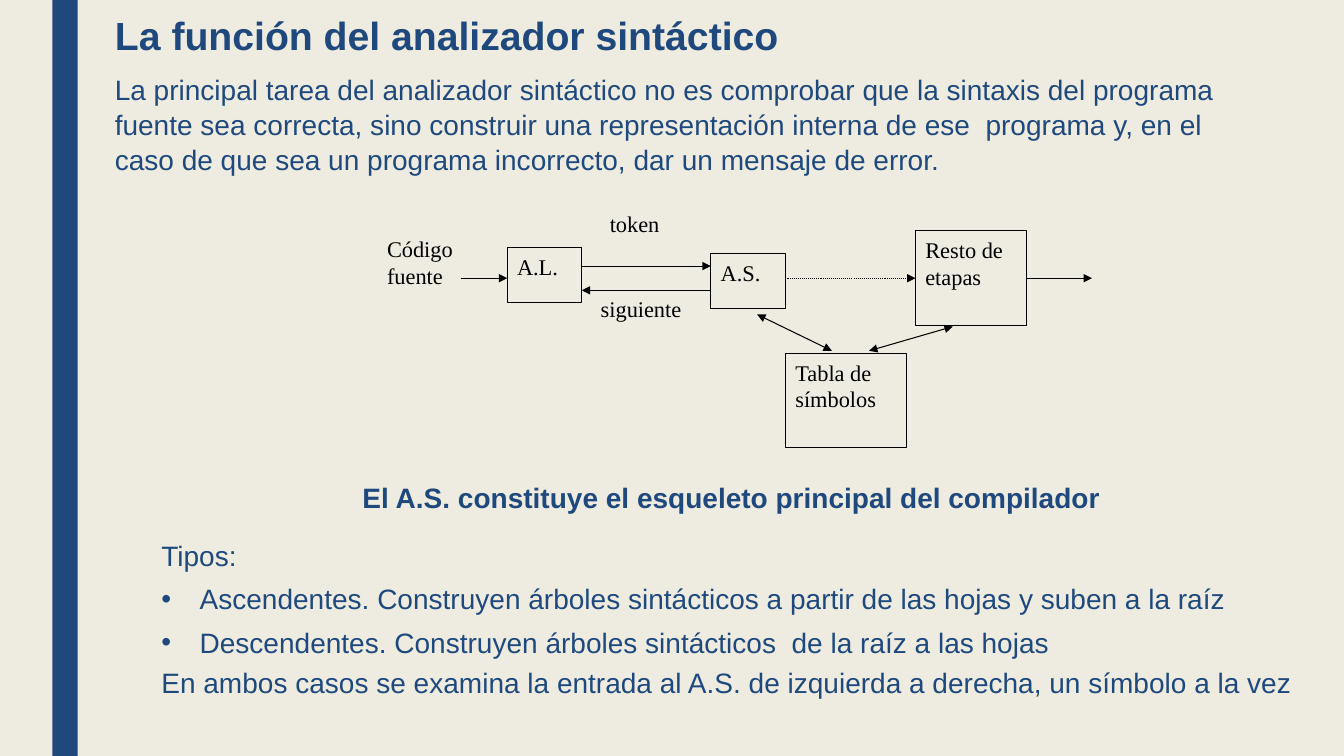
from dataclasses import dataclass

from lxml import etree
from pptx import Presentation
from pptx.dml.color import RGBColor
from pptx.enum.dml import MSO_LINE
from pptx.enum.shapes import MSO_CONNECTOR, MSO_SHAPE
from pptx.enum.text import MSO_ANCHOR, MSO_AUTO_SIZE, PP_ALIGN
from pptx.oxml.ns import qn
from pptx.util import Inches, Pt

RECTANGLE = MSO_SHAPE.RECTANGLE
STRAIGHT = MSO_CONNECTOR.STRAIGHT
DOTTED = MSO_LINE.ROUND_DOT
TOP = MSO_ANCHOR.TOP
FIXED = MSO_AUTO_SIZE.NONE
LEFT, CENTER = PP_ALIGN.LEFT, PP_ALIGN.CENTER


@dataclass(frozen=True)
class Theme:
    paper: RGBColor = RGBColor(0xEE, 0xEC, 0xE1)
    navy: RGBColor = RGBColor(0x1F, 0x49, 0x7D)
    ink: RGBColor = RGBColor(0, 0, 0)
    text_font: str = "Arial"
    diagram_font: str = "Times New Roman"
    title_size: Pt = Pt(28)
    text_size: Pt = Pt(20)
    diagram_size: Pt = Pt(16)
    line_width: Pt = Pt(0.75)


theme = Theme()


def place(box, left, top, width, height):
    box.left, box.top = Inches(left), Inches(top)
    box.width, box.height = Inches(width), Inches(height)
    frame = box.text_frame
    frame.word_wrap = True
    frame.auto_size = FIXED
    frame.vertical_anchor = TOP
    return frame


def write(para, text, font, size, color, bold=False, align=LEFT):
    para.alignment = align
    span = para.add_run()
    span.text = text
    span.font.name = font
    span.font.size = size
    span.font.color.rgb = color
    span.font.bold = bold


deck = Presentation()
deck.slide_width, deck.slide_height = Inches(13.33), Inches(7.5)
page = deck.slides.add_slide(deck.slide_layouts[1])
page.background.fill.solid()
page.background.fill.fore_color.rgb = theme.paper

bar = page.shapes.add_shape(RECTANGLE, Inches(0.52), 0, Inches(0.25), deck.slide_height)
bar.shadow.inherit = False
bar.fill.solid()
bar.fill.fore_color.rgb = theme.navy
bar.line.fill.background()

title = place(page.shapes.title, 1.04, 0.06, 11.41, 0.6)
write(title.paragraphs[0], "La función del analizador sintáctico",
      theme.text_font, theme.title_size, theme.navy, bold=True)

intro = place(page.shapes.add_textbox(0, 0, 0, 0), 1.04, 0.66, 11.41, 1.13)
intro.paragraphs[0].line_spacing = 1.04
write(intro.paragraphs[0],
      "La principal tarea del analizador sintáctico no es comprobar que la sintaxis "
      "del programa fuente sea correcta, sino construir una representación interna de "
      "ese  programa y, en el caso de que sea un programa incorrecto, dar un mensaje "
      "de error.", theme.text_font, theme.text_size, theme.navy)

stages = [
    ("A.L.", 5.03, 2.46, 0.74, 0.54),
    ("A.S.", 7.05, 2.52, 0.74, 0.54),
    ("Tabla de símbolos", 7.79, 3.51, 1.2, 0.93),
    ("Resto de etapas", 9.08, 2.29, 1.1, 0.94),
]
stage_boxes = {}
for name, *area in stages:
    box = page.shapes.add_shape(RECTANGLE, 0, 0, 0, 0)
    box.shadow.inherit = False
    box.fill.background()
    box.line.color.rgb = theme.ink
    box.line.width = theme.line_width
    write(place(box, *area).paragraphs[0], name,
          theme.diagram_font, theme.diagram_size, theme.ink)
    stage_boxes[name] = box

labels = [
    ("Código fuente", 3.74, 2.28, 1.01, 0.91),
    ("token", 5.95, 2.04, 0.83, 0.53),
    ("siguiente", 5.86, 2.88, 1.2, 0.53),
]
for text, *area in labels:
    label = place(page.shapes.add_textbox(0, 0, 0, 0), *area)
    write(label.paragraphs[0], text, theme.diagram_font, theme.diagram_size, theme.ink)

ONE_WAY, BOTH_WAYS = ("tailEnd",), ("headEnd", "tailEnd")
flows = {
    "source": (4.57, 2.76, 5.03, 2.76, ONE_WAY),
    "token": (5.77, 2.64, 7.05, 2.64, ONE_WAY),
    "next": (7.05, 2.88, 5.77, 2.88, ONE_WAY),
    "parser table": (7.51, 3.12, 8.25, 3.48, BOTH_WAYS),
    "table rest": (8.62, 3.48, 9.45, 3.24, BOTH_WAYS),
    "parser rest": (7.79, 2.76, 9.08, 2.76, ONE_WAY),
    "output": (10.18, 2.76, 10.83, 2.76, ONE_WAY),
}
arrows = {}
for name, (*ends, heads) in flows.items():
    arrow = page.shapes.add_connector(STRAIGHT, *map(Inches, ends))
    arrow.line.color.rgb = theme.ink
    arrow.line.width = theme.line_width
    if name == "parser rest":
        arrow.line.dash_style = DOTTED
    outline = arrow.line._get_or_add_ln()
    for head in heads:
        etree.SubElement(outline, qn(f"a:{head}"), type="triangle")
    etree.SubElement(arrow._element.spPr, qn("a:effectLst"))
    arrows[name] = arrow
arrows["parser rest"].end_connect(stage_boxes["Resto de etapas"], 1)
arrows["output"].begin_connect(stage_boxes["Resto de etapas"], 3)

summary = [
    ("El A.S. constituye el esqueleto principal del compilador", True, CENTER, False, 0, 7),
    ("Tipos:", False, LEFT, False, 10, 7),
    ("Ascendentes. Construyen árboles sintácticos a partir de las hojas y suben a la raíz",
     False, LEFT, True, 0, 7),
    ("Descendentes. Construyen árboles sintácticos  de la raíz a las hojas",
     False, LEFT, True, 0, 5),
    ("En ambos casos se examina la entrada al A.S. de izquierda a derecha, "
     "un símbolo a la vez", False, LEFT, False, 0, 0),
]
body = place(page.placeholders[1], 1.5, 4.72, 11.51, 2.32)
for index, (text, bold, align, bulleted, before, after) in enumerate(summary):
    para = body.add_paragraph() if index else body.paragraphs[0]
    para.space_before, para.space_after = Pt(before), Pt(after)
    write(para, text, theme.text_font, theme.text_size, theme.navy, bold, align)
    indent = Inches(0.38) if bulleted else 0
    properties = para._p.get_or_add_pPr()
    properties.set("marL", str(indent))
    properties.set("indent", str(-indent))
    if bulleted:
        etree.SubElement(properties, qn("a:buFont"), typeface=theme.text_font)
        etree.SubElement(properties, qn("a:buChar"), char="•")
    else:
        etree.SubElement(properties, qn("a:buNone"))

deck.save("out.pptx")
